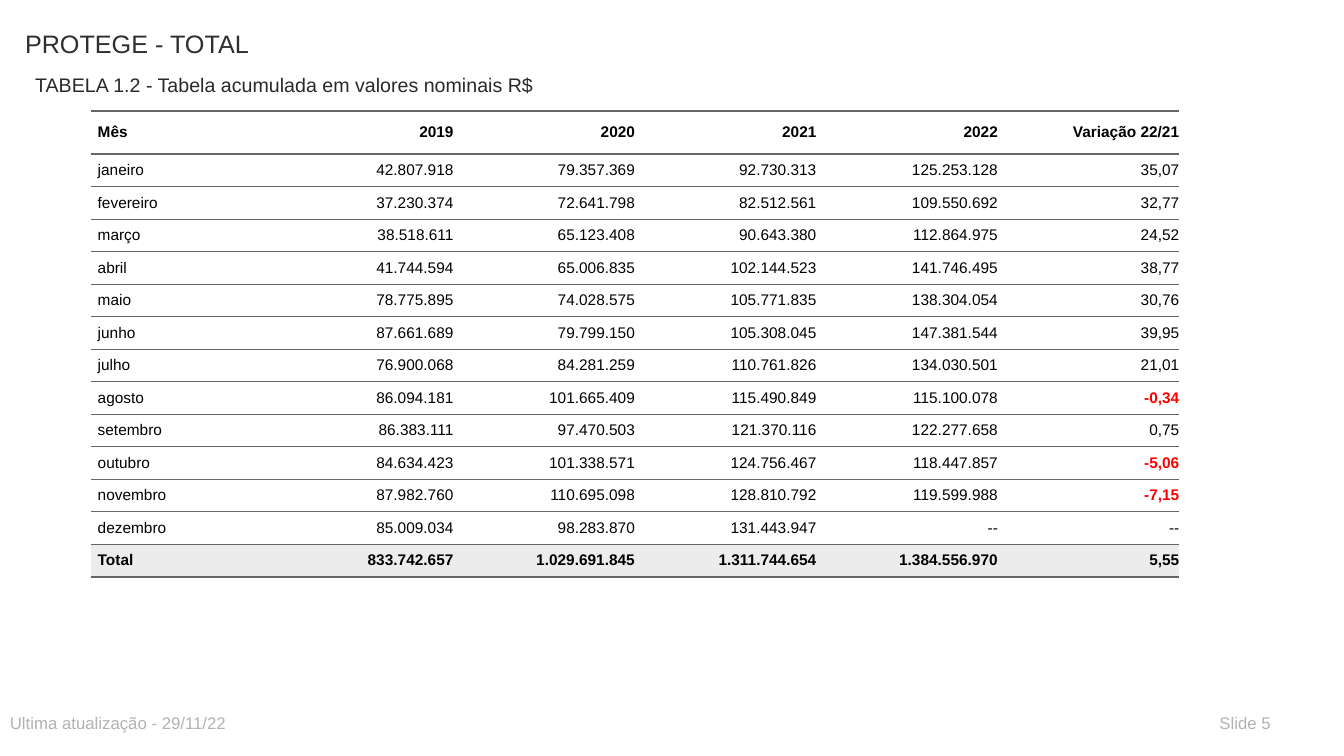
from lxml import etree
from pptx import Presentation
from pptx.dml.color import RGBColor
from pptx.enum import text
from pptx.oxml import ns
from pptx.util import Pt

BLACK = RGBColor(0x00, 0x00, 0x00)
WHITE = RGBColor(0xFF, 0xFF, 0xFF)
RED = RGBColor(0xFF, 0x00, 0x00)
RULE = RGBColor(0x66, 0x66, 0x66)
BAND = RGBColor(0xEC, 0xEC, 0xEC)
TITLE = RGBColor(0x2D, 0x2E, 0x2D)
SUB = RGBColor(0x29, 0x29, 0x29)
FOOT = RGBColor(0xB2, 0xB2, 0xB2)
FONT = "Arial"

# text, left, top, width, height, size, colour
LABELS = [
    ("PROTEGE - TOTAL", 10.8, 14.4, 576, 42.5, 18, TITLE),
    ("TABELA 1.2 - Tabela acumulada em valores nominais R$",
     18, 46.8, 468, 21.6, 14, SUB),
    ("Ultima atualização - 29/11/22", 0, 504, 468, 21.6, 12, FOOT),
    ("Slide 5", 864, 504, 64.8, 21.6, 12, FOOT),
]

ROWS = [
    ("Mês", "2019", "2020", "2021", "2022", "Variação 22/21"),
    ("janeiro", "42.807.918", "79.357.369", "92.730.313", "125.253.128", "35,07"),
    ("fevereiro", "37.230.374", "72.641.798", "82.512.561", "109.550.692", "32,77"),
    ("março", "38.518.611", "65.123.408", "90.643.380", "112.864.975", "24,52"),
    ("abril", "41.744.594", "65.006.835", "102.144.523", "141.746.495", "38,77"),
    ("maio", "78.775.895", "74.028.575", "105.771.835", "138.304.054", "30,76"),
    ("junho", "87.661.689", "79.799.150", "105.308.045", "147.381.544", "39,95"),
    ("julho", "76.900.068", "84.281.259", "110.761.826", "134.030.501", "21,01"),
    ("agosto", "86.094.181", "101.665.409", "115.490.849", "115.100.078", "-0,34"),
    ("setembro", "86.383.111", "97.470.503", "121.370.116", "122.277.658", "0,75"),
    ("outubro", "84.634.423", "101.338.571", "124.756.467", "118.447.857", "-5,06"),
    ("novembro", "87.982.760", "110.695.098", "128.810.792", "119.599.988", "-7,15"),
    ("dezembro", "85.009.034", "98.283.870", "131.443.947", "--", "--"),
    ("Total", "833.742.657", "1.029.691.845", "1.311.744.654", "1.384.556.970", "5,55"),
]
LEFT, TOP = 64.8, 79.2
COL, HEAD, ROW = 129.6, 31, 18
PAD = 5
THICK, THIN = 2, 0.5


def style(run, size, color, bold=False):
    font = run.font
    font.name, font.size, font.bold = FONT, Pt(size), bold
    font.color.rgb = color


def add_label(slide, words, left, top, width, height, size, color):
    box = slide.shapes.add_textbox(Pt(left), Pt(top), Pt(width), Pt(height))
    frame = box.text_frame
    frame.word_wrap = True
    frame.text = words
    para = frame.paragraphs[0]
    para.line_spacing = 1.1
    style(para.runs[0], size, color)


def set_rules(cell, above, below):
    """Draw the lines over and under a cell and hide those at its sides."""
    props = cell._tc.get_or_add_tcPr()
    sides = [("lnL", 0), ("lnR", 0), ("lnT", above), ("lnB", below)]
    for spot, (tag, width) in enumerate(sides):
        line = etree.Element(ns.qn("a:" + tag), w=str(Pt(width)))
        if width:
            fill = etree.SubElement(line, ns.qn("a:solidFill"))
            etree.SubElement(fill, ns.qn("a:srgbClr"), val=str(RULE))
        else:
            etree.SubElement(line, ns.qn("a:noFill"))
        props.insert(spot, line)


def fill_cell(cell, words, first, strong, back):
    cell.fill.solid()
    cell.fill.fore_color.rgb = back
    cell.vertical_anchor = text.MSO_ANCHOR.MIDDLE
    cell.margin_left = cell.margin_right = 0
    cell.margin_top = cell.margin_bottom = Pt(PAD)
    cell.text_frame.text = words
    para = cell.text_frame.paragraphs[0]
    para.alignment = text.PP_ALIGN.LEFT if first else text.PP_ALIGN.RIGHT
    para.space_before = para.space_after = Pt(PAD)
    para._p.get_or_add_pPr().set("marL", str(Pt(PAD)))
    minus = words.startswith("-") and words != "--"
    style(para.runs[0], 11, RED if minus else BLACK, strong or minus)


def add_grid(slide):
    last, cols = len(ROWS) - 1, len(ROWS[0])
    table = slide.shapes.add_table(
        len(ROWS), cols, Pt(LEFT), Pt(TOP),
        Pt(COL * cols), Pt(HEAD + ROW * last)).table
    table.first_row = table.horz_banding = False
    for col in table.columns:
        col.width = Pt(COL)
    for r, row in enumerate(ROWS):
        table.rows[r].height = Pt(ROW if r else HEAD)
        above = THICK if r <= 1 else THIN
        below = THICK if r in (0, last) else THIN
        for c, words in enumerate(row):
            cell = table.cell(r, c)
            fill_cell(cell, words, c == 0, r in (0, last),
                      BAND if r == last else WHITE)
            set_rules(cell, above, below)


def main():
    deck = Presentation()
    deck.slide_width, deck.slide_height = Pt(960), Pt(540)
    slide = deck.slides.add_slide(deck.slide_layouts[6])
    for label in LABELS:
        add_label(slide, *label)
    add_grid(slide)
    deck.save("out.pptx")


if __name__ == "__main__":
    main()
